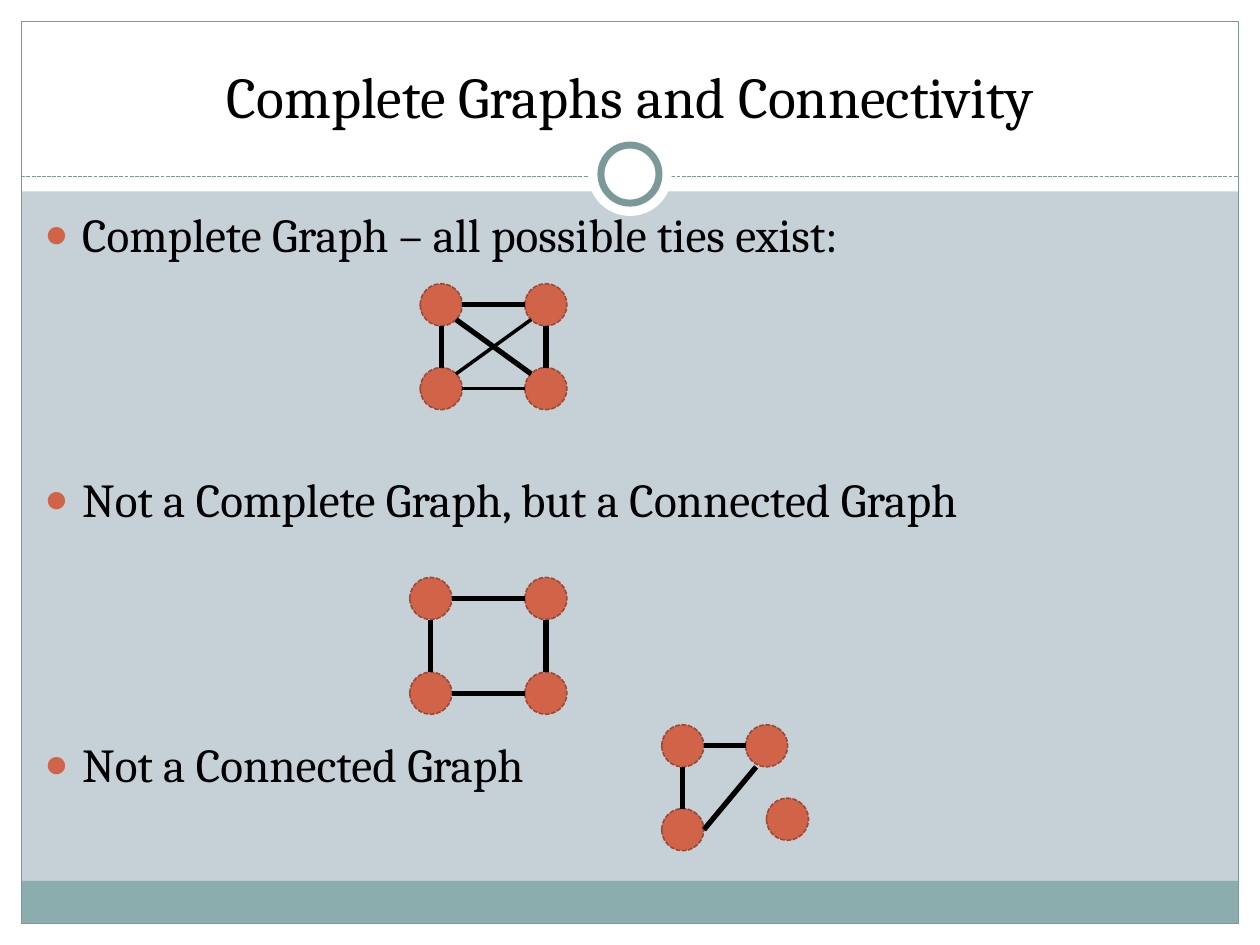
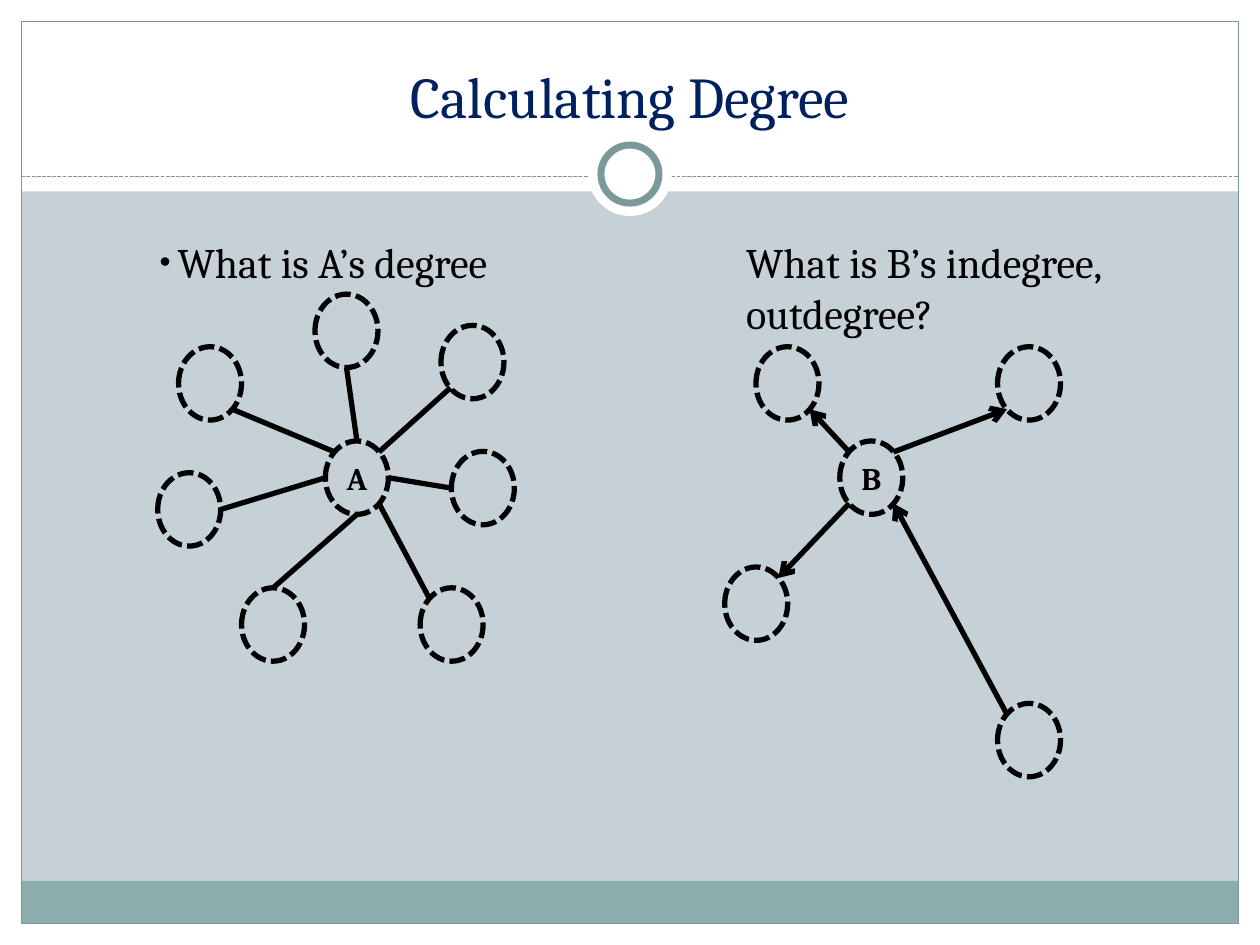
"""Build two slides on graph connectivity and node degree."""
from lxml.etree import SubElement
from pptx import Presentation
from pptx.dml.color import RGBColor
from pptx.enum.dml import MSO_LINE
from pptx.enum.shapes import MSO_CONNECTOR, MSO_SHAPE
from pptx.enum.text import MSO_ANCHOR, MSO_AUTO_SIZE, PP_ALIGN
from pptx.oxml.ns import qn
from pptx.util import Cm, Pt

COLORS = {
    "ground": "C5D1D7", "white": "FFFFFF", "footer": "8CADAE", "frame": "7C999A",
    "node": "D16349", "node edge": "9B4936", "black": "000000", "navy": "002060",
}
FONT = "Cambria"
WIDTH, HEIGHT, MARGIN = 25.4, 19.05, 0.43
HEADER, RULE, FOOTER = 3.86, 3.56, 0.86
INNER = WIDTH - 2 * MARGIN
RING_MIDDLE = 3.51

TITLE_BOX = (0.85, 0.64, 23.7, 2.11)
BODY_BOX = (0.64, 4.02, 23.62, 12.7)
BULLETS = [
    ("Complete Graph – all possible ties exist:", 5.4),
    ("Not a Complete Graph, but a Connected Graph", 119),
    ("Not a Connected Graph", 119),
]
QUESTIONS = [
    ((2.97, 4.65, 9, 2.31), ["What is A’s degree"], True),
    ((14.79, 4.65, 9, 2.31), ["What is B’s indegree,", "outdegree?"], False),
]

SITES = {
    "N": (0.5, 0), "NE": (0.85, 0.15), "E": (1, 0.5), "SE": (0.85, 0.85),
    "S": (0.5, 1), "SW": (0.15, 0.85), "W": (0, 0.5), "NW": (0.15, 0.15),
    "SSW": (0.25, 1),
}
TIE_STYLE = {
    "size": (0.85, 0.85), "fill": "node", "line": "node edge", "width": 0.9, "arrow": False,
}
DEGREE_STYLE = {"size": (1.27, 1.48), "fill": None, "line": "black", "width": 3, "arrow": False}
ARROW_STYLE = {**DEGREE_STYLE, "arrow": True}


def square(left, right, top, bottom):
    """Return four corner nodes."""
    return {
        "top left": (left, top), "top right": (right, top),
        "bottom left": (left, bottom), "bottom right": (right, bottom),
    }


SIDES = [
    ("top left", "E", "top right", "W", 3),
    ("top left", "S", "bottom left", "N", 3),
    ("top right", "S", "bottom right", "N", 3),
]
COMPLETE = (square(8.47, 10.58, 5.72, 7.41), SIDES + [
    ("bottom left", "E", "bottom right", "W", 2),
    ("top left", "SE", "bottom right", "NW", 3),
    ("bottom left", "NE", "top right", "SW", 2),
])
CONNECTED = (square(8.26, 10.58, 11.64, 13.55), SIDES + [
    ("bottom left", "E", "bottom right", "W", 3),
])
DISCONNECTED = (
    {"corner": (13.34, 14.61), "right": (15.03, 14.61),
     "below": (13.34, 16.3), "isolate": (15.45, 16.09)},
    [("corner", "E", "right", "W", 3),
     ("corner", "S", "below", "N", 3),
     ("below", "E", "right", "SSW", 3)],
)
DEGREE = (
    {"A": (6.56, 8.89), "north-west": (3.6, 6.99), "north": (6.35, 5.93),
     "north-east": (8.89, 6.56), "east": (9.1, 9.1), "south-east": (8.47, 11.85),
     "south-west": (4.87, 11.85), "west": (3.18, 9.53)},
    [("A", "NW", "north-west", "SE", 3), ("A", "N", "north", "S", 3),
     ("A", "NE", "north-east", "SW", 3), ("A", "E", "east", "W", 3),
     ("A", "SE", "south-east", "NW", 3), ("A", "S", "south-west", "N", 3),
     ("A", "W", "west", "E", 3)],
)
DIRECTED = (
    {"B": (16.93, 8.89), "north-west": (15.24, 6.99), "north-east": (20.11, 6.99),
     "south-west": (14.61, 11.43), "south-east": (20.11, 14.18)},
    [("B", "NW", "north-west", "SE", 3), ("B", "NE", "north-east", "SW", 3),
     ("B", "SW", "south-west", "NE", 3), ("south-east", "NW", "B", "SE", 3)],
)


def rgb(name):
    """Return a named colour."""
    return RGBColor.from_string(COLORS[name])


def assign(target, values):
    """Set each attribute named in a dict."""
    for name, value in values.items():
        setattr(target, name, value)


def place(shape, box):
    """Move and size a shape in centimetres."""
    assign(shape, dict(zip(("left", "top", "width", "height"), map(Cm, box))))


def write(paragraph, text, size, color="black", bold=False):
    """Add one formatted run to a paragraph."""
    run = paragraph.add_run()
    run.text = text
    assign(run.font, {"name": FONT, "size": Pt(size), "bold": bold})
    run.font.color.rgb = rgb(color)


def add_bullet(paragraph, character, indent, percent, color):
    """Give a paragraph a hanging bullet."""
    properties = paragraph._p.get_or_add_pPr()
    properties.set("marL", str(Cm(indent)))
    properties.set("indent", str(-Cm(indent)))
    tint = SubElement(properties, qn("a:buClr"))
    SubElement(tint, qn("a:srgbClr"), val=COLORS[color])
    SubElement(properties, qn("a:buSzPct"), val=str(percent * 1000))
    SubElement(properties, qn("a:buFont"), typeface="Arial")
    SubElement(properties, qn("a:buChar"), char=character)


def style_line(line, color, width, dash=None):
    """Format an outline or a connector line."""
    line.color.rgb = rgb(color)
    assign(line, {"width": Pt(width), "dash_style": dash})


def add_figure(slide, kind, box, fill=None, line=None, width=0.75, dash=None):
    """Add a flat preset shape."""
    shape = slide.shapes.add_shape(kind, *map(Cm, box))
    shape.shadow.inherit = False
    if fill:
        shape.fill.solid()
        shape.fill.fore_color.rgb = rgb(fill)
    else:
        shape.fill.background()
    if line:
        style_line(shape.line, line, width, dash)
    else:
        shape.line.fill.background()
    return shape


def add_line(slide, start, end, color, width, dash=None, arrow=False):
    """Add a straight line, with an arrowhead if asked."""
    connector = slide.shapes.add_connector(MSO_CONNECTOR.STRAIGHT, *map(Cm, (*start, *end)))
    style_line(connector.line, color, width, dash)
    if arrow:
        SubElement(connector.line._get_or_add_ln(), qn("a:tailEnd"), type="arrow")
    SubElement(connector.element.spPr, qn("a:effectLst"))
    return connector


def decorate_master(presentation, slide):
    """Draw the shared frame once and hand it to the slide master."""
    master = presentation.slide_master
    master.background.fill.solid()
    master.background.fill.fore_color.rgb = rgb("ground")
    rectangle, oval = MSO_SHAPE.RECTANGLE, MSO_SHAPE.OVAL
    bottom = HEIGHT - MARGIN
    parts = [add_figure(slide, rectangle, box, fill) for box, fill in (
        ((0, bottom, WIDTH, MARGIN), "white"),
        ((0, 0, WIDTH, HEADER), "white"),
        ((0, 0, MARGIN, HEIGHT), "white"),
        ((WIDTH - MARGIN, 0, MARGIN, HEIGHT), "white"),
        ((MARGIN, bottom - FOOTER, INNER, FOOTER), "footer"),
    )]
    frame = (MARGIN, MARGIN, INNER, HEIGHT - 2 * MARGIN)
    parts.append(add_figure(slide, rectangle, frame, line="frame"))
    parts.append(add_line(slide, (MARGIN, RULE), (WIDTH - MARGIN, RULE),
                          "frame", 0.75, MSO_LINE.SQUARE_DOT))
    for diameter, line in ((1.69, None), (1.17, "frame")):
        box = ((WIDTH - diameter) / 2, RING_MIDDLE - diameter / 2, diameter, diameter)
        parts.append(add_figure(slide, oval, box, "white", line, 4))
    for index, part in enumerate(parts):
        part.element.xpath(".//p:cNvPr")[0].set("id", str(100 + index))
        master.shapes.element.insert(2 + index, part.element)


def set_title(slide, text, color):
    """Fill and format the title placeholder."""
    title = slide.shapes.title
    place(title, TITLE_BOX)
    assign(title.text_frame, {"vertical_anchor": MSO_ANCHOR.BOTTOM,
                              "auto_size": MSO_AUTO_SIZE.NONE})
    paragraph = title.text_frame.paragraphs[0]
    paragraph.alignment = PP_ALIGN.CENTER
    write(paragraph, text, 33, color)


def draw_graph(slide, graph, style):
    """Draw the nodes of a graph, then its edges between node sites."""
    nodes, edges = graph
    size = style["size"]
    for name, corner in nodes.items():
        node = add_figure(slide, MSO_SHAPE.OVAL, (*corner, *size), style["fill"],
                          style["line"], style["width"], MSO_LINE.SQUARE_DOT)
        if len(name) == 1:
            frame = node.text_frame
            assign(frame, dict.fromkeys(
                ("margin_left", "margin_top", "margin_right", "margin_bottom"), 0))
            frame.vertical_anchor = MSO_ANCHOR.MIDDLE
            frame.paragraphs[0].alignment = PP_ALIGN.CENTER
            write(frame.paragraphs[0], name, 18, bold=True)

    def site(name, direction):
        """Return the point on a node's outline."""
        return [corner + length * share
                for corner, length, share in zip(nodes[name], size, SITES[direction])]

    for source, leave, target, arrive, width in edges:
        add_line(slide, site(source, leave), site(target, arrive), "black", width,
                 arrow=style["arrow"])


def fill_body(slide):
    """Write the bullet list into the body placeholder."""
    body = slide.placeholders[1]
    place(body, BODY_BOX)
    frame = body.text_frame
    frame.auto_size = MSO_AUTO_SIZE.NONE
    for index, (text, space) in enumerate(BULLETS):
        paragraph = frame.add_paragraph() if index else frame.paragraphs[0]
        paragraph.space_before = Pt(space)
        add_bullet(paragraph, "●", 0.76, 85, "node")
        write(paragraph, text, 27)


def add_questions(slide):
    """Write the question above each graph."""
    for box, lines, bulleted in QUESTIONS:
        frame = slide.shapes.add_textbox(*map(Cm, box)).text_frame
        frame.word_wrap = True
        for index, text in enumerate(lines):
            paragraph = frame.add_paragraph() if index else frame.paragraphs[0]
            if bulleted:
                add_bullet(paragraph, "•", 0.36, 75, "black")
            write(paragraph, text, 24)


def main():
    """Build and save the presentation."""
    presentation = Presentation()
    assign(presentation, {"slide_width": Cm(WIDTH), "slide_height": Cm(HEIGHT)})

    connectivity = presentation.slides.add_slide(presentation.slide_layouts[1])
    decorate_master(presentation, connectivity)
    set_title(connectivity, "Complete Graphs and Connectivity", "black")
    fill_body(connectivity)
    for graph in (COMPLETE, CONNECTED, DISCONNECTED):
        draw_graph(connectivity, graph, TIE_STYLE)

    degree = presentation.slides.add_slide(presentation.slide_layouts[5])
    set_title(degree, "Calculating Degree", "navy")
    draw_graph(degree, DEGREE, DEGREE_STYLE)
    draw_graph(degree, DIRECTED, ARROW_STYLE)
    add_questions(degree)

    presentation.save("out.pptx")


if __name__ == "__main__":
    main()
